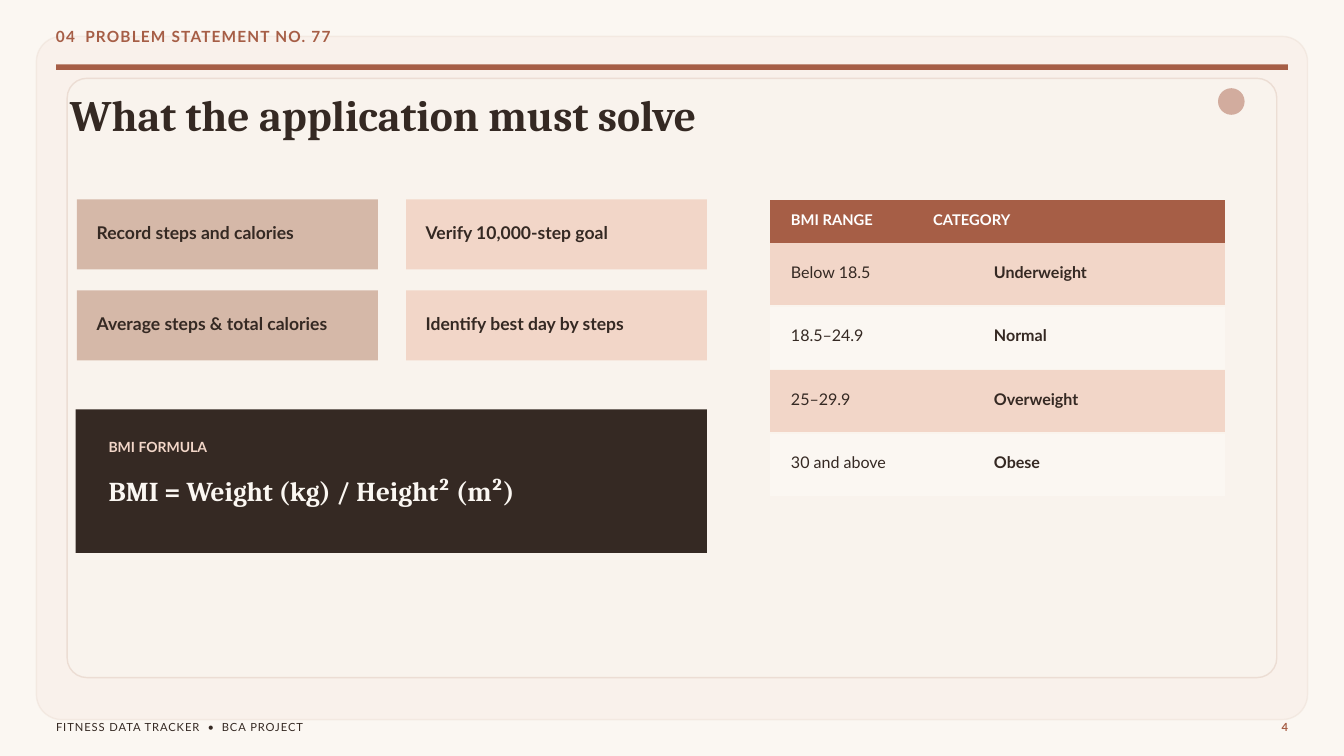
from dataclasses import dataclass

from lxml.etree import SubElement
from pptx import Presentation
from pptx.dml.color import RGBColor
from pptx.enum.shapes import MSO_SHAPE
from pptx.enum.text import MSO_ANCHOR, PP_ALIGN
from pptx.oxml import parse_xml
from pptx.oxml.ns import nsdecls, qn
from pptx.util import Emu, Pt

# Content: a tuple of pieces is joined by a wide gap
KICKER = ("04", "PROBLEM STATEMENT NO. 77")
TITLE = ("What the application must solve",)
FOOTER = ("FITNESS DATA TRACKER", "•", "BCA PROJECT")
PAGE_NUMBER = ("4",)
CARDS = [
    ["Record steps and calories", "Verify 10,000-step goal"],
    ["Average steps & total calories", "Identify best day by steps"],
]
FORMULA = [("BMI FORMULA", "label"), ("BMI = Weight (kg) / Height² (m²)", "formula")]
BMI_TABLE = [
    ("BMI RANGE", "CATEGORY"),
    ("Below 18.5", "Underweight"),
    ("18.5–24.9", "Normal"),
    ("25–29.9", "Overweight"),
    ("30 and above", "Obese"),
]


# Theme
@dataclass(frozen=True)
class Style:
    size: float
    line: float
    color: str
    bold: bool = True
    font: str = "Lato"
    spacing: float = 0


class Theme:
    cream, blush, sand = "FBF7F2", "F2D6C8", "D5B8A8"
    rust, ink, white, gap = "A65E46", "352923", "FFFFFF", "FAF4ED"
    styles = {
        "kicker": Style(16.5, 21.4, rust, spacing=1.3),
        "title": Style(46.5, 50.2, ink, font="Cambria"),
        "footer": Style(12, 15.6, ink, bold=False, spacing=1),
        "number": Style(12, 15.6, rust),
        "card": Style(18.8, 24.4, ink),
        "label": Style(15, 19.5, blush),
        "formula": Style(29.2, 31.6, cream, font="Cambria"),
        "header": Style(15.8, 22, white),
        "range": Style(17.2, 22.4, ink, bold=False),
        "category": Style(17.2, 22.4, ink),
    }


SPACE_WIDTH = 0.19  # width of a Lato space, in em


def px(value):
    return Emu(value * 9525)


def rgb(color):
    return RGBColor.from_string(color)


deck = Presentation()
deck.slide_width, deck.slide_height = px(1920), px(1080)
page = deck.slides.add_slide(deck.slide_layouts[6])
page.background.fill.solid()
page.background.fill.fore_color.rgb = rgb(Theme.cream)


# Helpers
def add_span(para, text, style, spacing):
    span = para.add_run()
    span.text = text
    span.font.name = style.font
    span.font.size = Pt(style.size)
    span.font.bold = style.bold
    span.font.color.rgb = rgb(style.color)
    if spacing:
        span._r.get_or_add_rPr().set("spc", str(round(spacing * 100)))


def write(para, pieces, style_name, align=PP_ALIGN.LEFT):
    style = Theme.styles[style_name]
    para.alignment = align
    para.line_spacing = Pt(style.line)
    for index, piece in enumerate(pieces):
        if index:
            add_span(para, " ", style, 2 * style.spacing + SPACE_WIDTH * style.size)
        add_span(para, piece, style, style.spacing)


def set_insets(target, left=0, top=0):
    target.margin_left, target.margin_top = px(left), px(top)
    target.margin_right = target.margin_bottom = 0
    target.vertical_anchor = MSO_ANCHOR.TOP


def add_text(left, top, width, height, pieces, style_name, align=PP_ALIGN.LEFT):
    frame = page.shapes.add_textbox(px(left), px(top), px(width), px(height)).text_frame
    frame.word_wrap = True
    set_insets(frame)
    write(frame.paragraphs[0], pieces, style_name, align)


def paint(fill, color, opacity):
    fill.solid()
    fill.fore_color.rgb = rgb(color)
    if opacity < 100:
        color_node = fill._xPr.find(qn("a:solidFill"))[0]
        SubElement(color_node, qn("a:alpha")).set("val", str(opacity * 1000))


def add_box(left, top, width, height, color, kind=MSO_SHAPE.RECTANGLE,
            opacity=100, outline=None, radius=0):
    box = page.shapes.add_shape(kind, px(left), px(top), px(width), px(height))
    box.shadow.inherit = False
    paint(box.fill, color, opacity)
    if outline:
        box.line.width = Pt(1.5)
        paint(box.line.fill, outline, opacity)
    else:
        box.line.fill.background()
    if radius:
        box.adjustments[0] = radius / min(width, height)
    return box


def set_borders(cell, above, below):
    properties = cell._tc.get_or_add_tcPr()
    sides = [("lnL", False), ("lnR", False), ("lnT", above), ("lnB", below)]
    for position, (side, visible) in enumerate(sides):
        fill = (f'<a:solidFill><a:srgbClr val="{Theme.gap}"/></a:solidFill>'
                if visible else "<a:noFill/>")
        width = px(3) if visible else 0
        border = parse_xml(f'<a:{side} {nsdecls("a")} w="{width}">{fill}</a:{side}>')
        properties.insert(position, border)


# Background panels, dot and rule
ROUNDED = MSO_SHAPE.ROUNDED_RECTANGLE
add_box(52, 52, 1816, 976, Theme.blush, ROUNDED, 16, Theme.sand, 36)
add_box(1740, 126, 38, 38, Theme.rust, MSO_SHAPE.OVAL, 72)
add_box(96, 112, 1728, 856, Theme.cream, ROUNDED, 34, Theme.sand, 28)
add_box(80, 92, 1760, 8, Theme.rust)

# Heading and footer
add_text(80, 36, 1500, 28, KICKER, "kicker")
add_text(80, 1027, 800, 20, FOOTER, "footer")
add_text(1740, 1027, 100, 20, PAGE_NUMBER, "number", PP_ALIGN.RIGHT)
add_text(100, 134, 1500, 69, TITLE, "title")

# Requirement cards
for row, labels in enumerate(CARDS):
    for column, (label, color) in enumerate(zip(labels, (Theme.sand, Theme.blush))):
        card = add_box(110 + 470 * column, 285 + 130 * row, 430, 100, color)
        set_insets(card.text_frame, 28, 29)
        write(card.text_frame.paragraphs[0], (label,), "card")

# Formula panel
frame = add_box(108, 585, 902, 205, Theme.ink).text_frame
set_insets(frame, 47, 39)
for index, (text, style_name) in enumerate(FORMULA):
    para = frame.add_paragraph() if index else frame.paragraphs[0]
    if index:
        para.space_before = Pt(24)
    write(para, (text,), style_name)

# BMI table
COLUMN_WIDTHS = (230, 420)
ROW_HEIGHTS = (62, 90, 91, 91, 89)
table = page.shapes.add_table(
    len(BMI_TABLE), 2, px(1100), px(285), px(sum(COLUMN_WIDTHS)), px(sum(ROW_HEIGHTS))
).table
table.first_row = table.horz_banding = False
for column, width in zip(table.columns, COLUMN_WIDTHS):
    column.width = px(width)
last = len(BMI_TABLE) - 1
for row, texts in enumerate(BMI_TABLE):
    table.rows[row].height = px(ROW_HEIGHTS[row])
    if row == 0:
        color, styles, lefts, top = Theme.rust, ("header", "header"), (30, 3), 13
    else:
        color = Theme.blush if row % 2 else Theme.cream
        styles, lefts, top = ("range", "category"), (30, 90), 26
    for column, text in enumerate(texts):
        cell = table.cell(row, column)
        set_insets(cell, lefts[column], top)
        paint(cell.fill, color, 100)
        set_borders(cell, above=row > 1, below=0 < row < last)
        write(cell.text_frame.paragraphs[0], (text,), styles[column])

deck.save("out.pptx")
